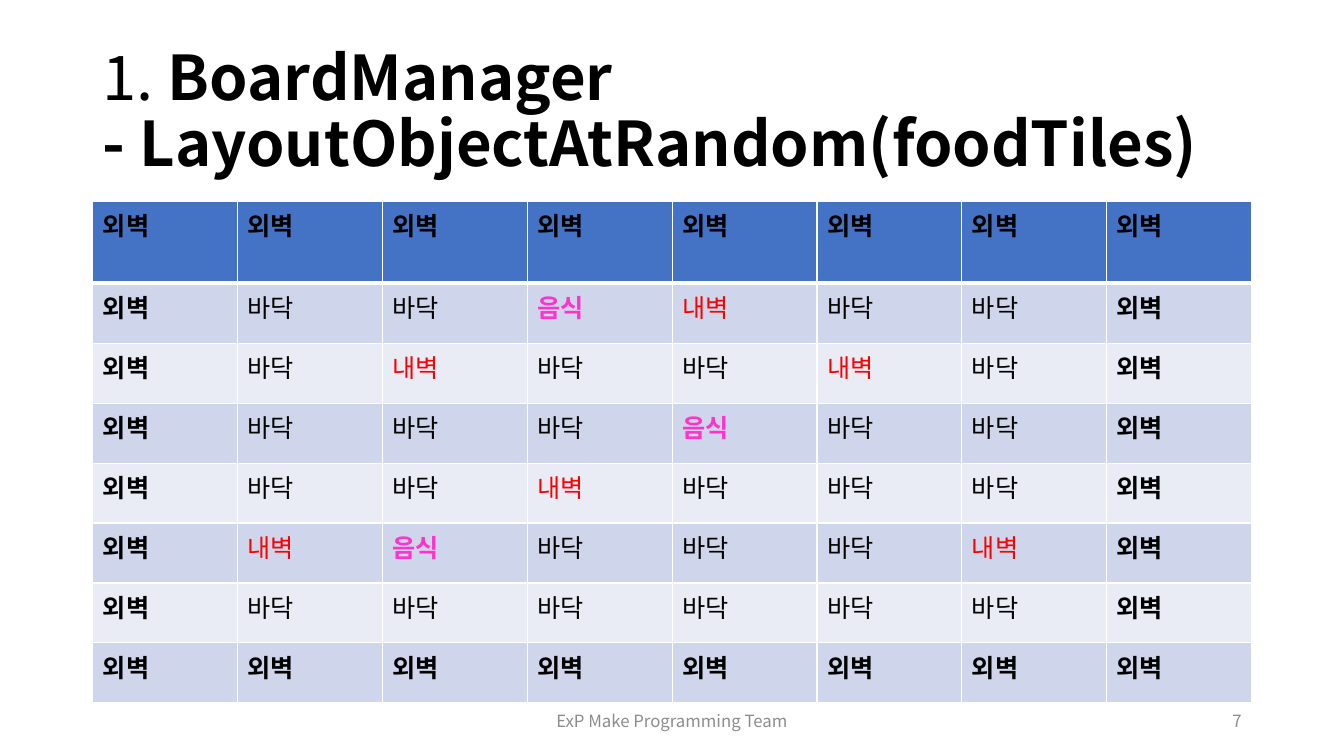
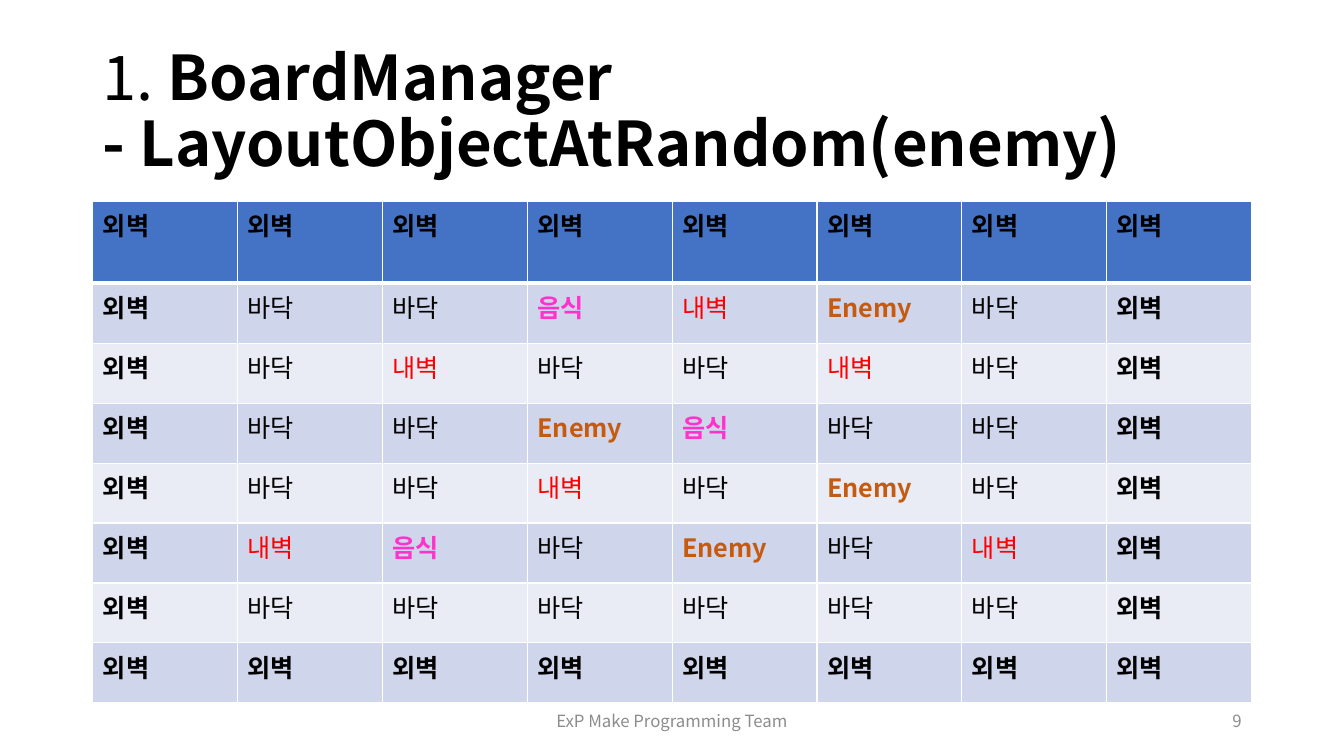
import pptx
import pptx.util
import pptx.dml.color
import pptx.enum.text
import pptx.oxml.ns
import lxml.etree

Cm, Pt = pptx.util.Cm, pptx.util.Pt
qn = pptx.oxml.ns.qn
ALIGN = pptx.enum.text.PP_ALIGN
FONT = "Noto Sans CJK KR"
TEAM = "ExP Make Programming Team"
COLORS = {
    "ink": "000000", "gray": "8C8C8C", "rule": "FFFFFF",
    "head": "4472C4", "odd": "CFD5EA", "even": "E9EBF5",
    "wall": "FF0000", "food": "FF33CC", "enemy": "C55A11",
}
TILES = {
    "#": ("외벽", "ink", True),
    ".": ("바닥", "ink", False),
    "W": ("내벽", "wall", False),
    "F": ("음식", "food", True),
    "E": ("Enemy", "enemy", True),
}
SLIDES = [
    ("foodTiles", "7", [
        "########",
        "#..FW..#",
        "#.W..W.#",
        "#...F..#",
        "#..W...#",
        "#WF...W#",
        "#......#",
        "########",
    ]),
    ("enemy", "9", [
        "########",
        "#..FWE.#",
        "#.W..W.#",
        "#..EF..#",
        "#..W.E.#",
        "#WF.E.W#",
        "#......#",
        "########",
    ]),
]
LEFT, WIDE = 2.34, 29.2
HEAD_H, ROW_H = 2.06, 1.51
FOOT_TOP, FOOT_H = 17.65, 1.02


def add_run(para, text, size, color, bold=False):
    run = para.add_run()
    run.text = text
    font = run.font
    font.size, font.bold, font.name = Pt(size), bold, FONT
    font.color.rgb = pptx.dml.color.RGBColor.from_string(COLORS[color])
    east = lxml.etree.SubElement(run._r.get_or_add_rPr(), qn("a:ea"))
    east.set("typeface", FONT)


def add_box(slide, left, top, width, height, align):
    box = slide.shapes.add_textbox(Cm(left), Cm(top), Cm(width), Cm(height))
    frame = box.text_frame
    frame.word_wrap = True
    frame.vertical_anchor = pptx.enum.text.MSO_ANCHOR.MIDDLE
    para = frame.paragraphs[0]
    para.alignment = align
    return para


def add_title(slide, arg):
    para = add_box(slide, LEFT, 1.02, WIDE, 3.68, ALIGN.LEFT)
    para.line_spacing = 0.9
    add_run(para, "1. ", 44, "ink")
    add_run(para, "BoardManager", 44, "ink", True)
    para.add_line_break()
    add_run(para, f"- LayoutObjectAtRandom({arg})", 44, "ink", True)


def add_foot(slide, number):
    para = add_box(slide, 11.22, FOOT_TOP, 11.43, FOOT_H, ALIGN.CENTER)
    add_run(para, TEAM, 12, "gray")
    para = add_box(slide, 23.92, FOOT_TOP, 7.62, FOOT_H, ALIGN.RIGHT)
    add_run(para, number, 12, "gray")


def add_rules(cell, top, bottom):
    props = cell._tc.get_or_add_tcPr()
    sides = (("L", 1), ("R", 1), ("T", top), ("B", bottom))
    for spot, (side, width) in enumerate(sides):
        line = lxml.etree.Element(qn(f"a:ln{side}"), w=str(Pt(width)))
        fill = lxml.etree.SubElement(line, qn("a:solidFill"))
        lxml.etree.SubElement(fill, qn("a:srgbClr"), val=COLORS["rule"])
        props.insert(spot, line)


def add_board(slide, board):
    rows, cols = len(board), len(board[0])
    high = HEAD_H + ROW_H * (rows - 1)
    table = slide.shapes.add_table(
        rows, cols, Cm(LEFT), Cm(5.08), Cm(WIDE), Cm(high)).table
    for col in table.columns:
        col.width = Cm(WIDE / cols)
    for y, line in enumerate(board):
        table.rows[y].height = Cm(ROW_H if y else HEAD_H)
        shade = "head" if y == 0 else "odd" if y % 2 else "even"
        for x, mark in enumerate(line):
            cell = table.cell(y, x)
            cell.fill.solid()
            cell.fill.fore_color.rgb = pptx.dml.color.RGBColor.from_string(
                COLORS[shade])
            add_rules(cell, 3 if y == 1 else 1, 3 if y == 0 else 1)
            text, color, bold = TILES[mark]
            add_run(cell.text_frame.paragraphs[0], text, 18, color, bold)


deck = pptx.Presentation()
deck.slide_width, deck.slide_height = Cm(33.87), Cm(19.05)
for arg, number, board in SLIDES:
    slide = deck.slides.add_slide(deck.slide_layouts[6])
    add_title(slide, arg)
    add_foot(slide, number)
    add_board(slide, board)
deck.save("out.pptx")
